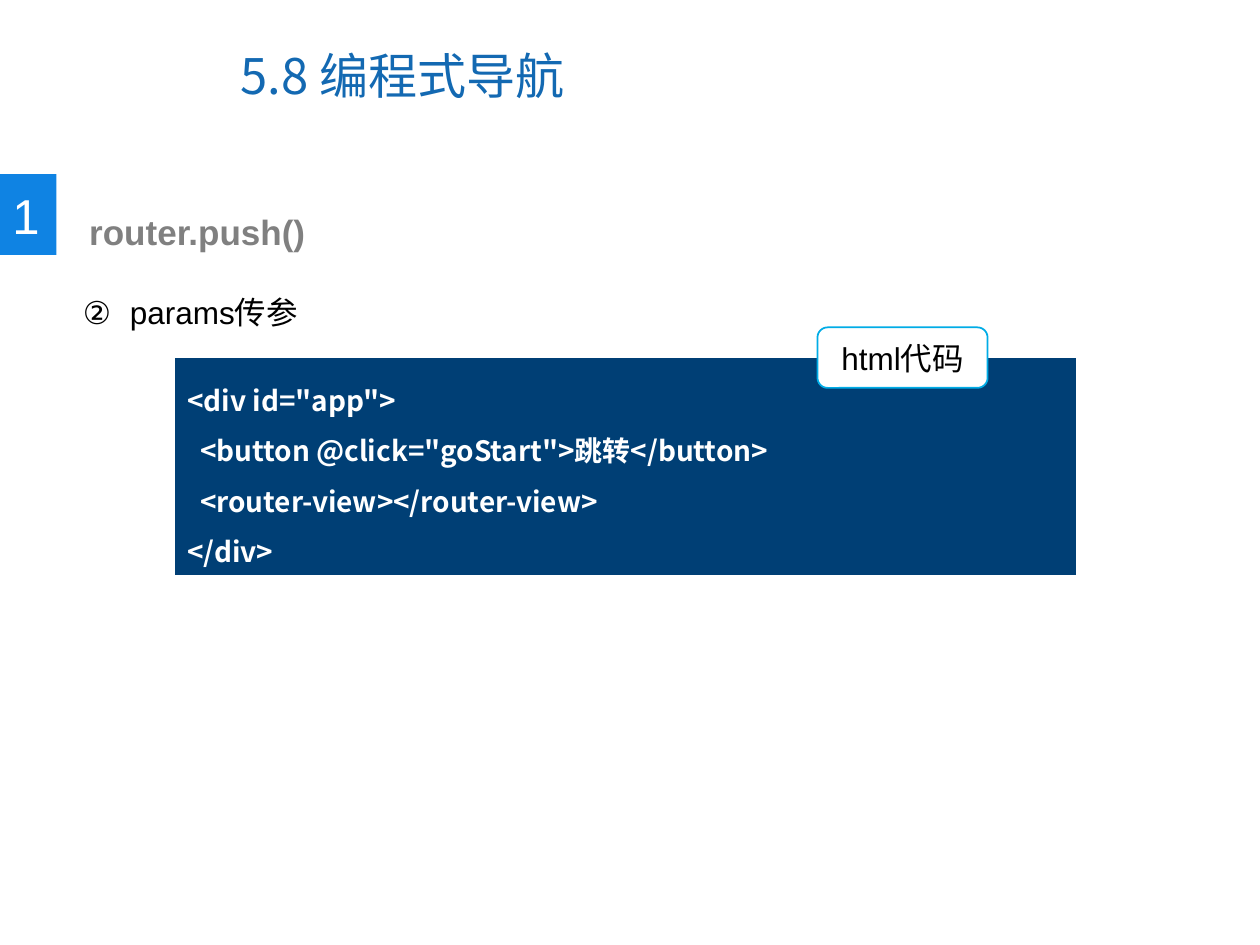
from dataclasses import dataclass
from typing import Optional

from lxml import etree
from pptx import Presentation
from pptx import util as u
from pptx.dml.color import RGBColor
from pptx.enum import shapes, text
from pptx.oxml.ns import qn

LATIN = "Arial"
CJK = "Noto Sans CJK SC"

WHITE = RGBColor(0xFF, 0xFF, 0xFF)
BLACK = RGBColor(0, 0, 0)
GREY = RGBColor(0x80, 0x80, 0x80)
TITLE_BLUE = RGBColor(0x13, 0x69, 0xB2)
BADGE_BLUE = RGBColor(0x0F, 0x83, 0xE3)
CODE_BLUE = RGBColor(0x00, 0x3F, 0x75)
LABEL_BLUE = RGBColor(0x00, 0xAC, 0xE6)

CODE_LINES = (
    '<div id="app">',
    '  <button @click="goStart">跳转</button>',
    "  <router-view></router-view>",
    "</div>",
)


@dataclass(frozen=True)
class Area:
    """Left, top, width and height in centimetres."""
    left: float
    top: float
    width: float
    height: float

    def lengths(self) -> tuple:
        return tuple(u.Cm(v) for v in (self.left, self.top, self.width, self.height))


@dataclass(frozen=True)
class Style:
    size: float
    color: RGBColor
    font: str = LATIN
    bold: bool = False
    align: text.PP_ALIGN = text.PP_ALIGN.LEFT
    spacing: Optional[u.Pt] = None


def write(box, lines: tuple, style: Style,
          anchor: text.MSO_ANCHOR = text.MSO_ANCHOR.TOP, wrap: bool = True) -> None:
    """Fill a box with one paragraph for each line."""
    frame = box.text_frame
    frame.word_wrap = wrap
    frame.auto_size = text.MSO_AUTO_SIZE.NONE
    frame.vertical_anchor = anchor
    for index, line in enumerate(lines):
        para = frame.add_paragraph() if index else frame.paragraphs[0]
        para.alignment = style.align
        if style.spacing is not None:
            para.line_spacing = style.spacing
        span = para.add_run()
        span.text = line
        span.font.name = style.font
        span.font.size = u.Pt(style.size)
        span.font.bold = style.bold
        span.font.color.rgb = style.color
        east_asian = etree.SubElement(span.font._element, qn("a:ea"))
        east_asian.set("typeface", CJK)


def add_panel(page, kind: shapes.MSO_SHAPE, area: Area, fill: RGBColor,
              line: Optional[RGBColor] = None):
    """Draw a filled shape, outlined only when a line colour is given."""
    panel = page.shapes.add_shape(kind, *area.lengths())
    panel.shadow.inherit = False
    panel.fill.solid()
    panel.fill.fore_color.rgb = fill
    if line is None:
        panel.line.fill.background()
    else:
        panel.line.color.rgb = line
        panel.line.width = u.Pt(1)
    return panel


def number_paragraph(para, start: int, indent: u.Cm) -> None:
    """Give a paragraph a circled number and a hanging indent."""
    props = para._p.get_or_add_pPr()
    props.set("marL", str(int(indent)))
    props.set("indent", str(-int(indent)))
    bullet = etree.SubElement(props, qn("a:buAutoNum"))
    bullet.set("type", "circleNumDbPlain")
    bullet.set("startAt", str(start))


def main() -> None:
    deck = Presentation()
    deck.slide_width, deck.slide_height = u.Cm(25.4), u.Cm(19.05)
    page = deck.slides.add_slide(deck.slide_layouts[5])

    # Title
    title = page.shapes.title
    title.left, title.top, title.width, title.height = Area(4.6, 0.43, 13.1, 2.16).lengths()
    write(title, ("5.8 编程式导航",), Style(28, TITLE_BLUE, CJK), text.MSO_ANCHOR.MIDDLE)

    # Section number and heading
    add_panel(page, shapes.MSO_SHAPE.RECTANGLE, Area(0, 3.51, 1.14, 1.63), BADGE_BLUE)
    number = page.shapes.add_textbox(*Area(0, 3.61, 1.07, 1.45).lengths())
    write(number, ("1",), Style(28, WHITE), wrap=False)
    heading = page.shapes.add_textbox(*Area(1.19, 4.11, 13.06, 1.12).lengths())
    heading.text_frame.margin_left = u.Cm(0.61)
    write(heading, ("router.push()",), Style(20, GREY, bold=True))

    # Numbered point
    point = page.shapes.add_textbox(*Area(1.42, 5, 22.4, 1.55).lengths())
    write(point, ("params传参",), Style(18, BLACK, spacing=u.Pt(44)))
    number_paragraph(point.text_frame.paragraphs[0], 2, u.Cm(0.95))

    # Code listing
    code = add_panel(page, shapes.MSO_SHAPE.RECTANGLE, Area(3.53, 7.22, 18.16, 4.37), CODE_BLUE)
    code.text_frame.margin_top = u.Cm(0.18)
    write(code, CODE_LINES, Style(16, WHITE, CJK, bold=True, spacing=u.Pt(28.7)))

    # Label on the listing's upper edge
    label = add_panel(page, shapes.MSO_SHAPE.ROUNDED_RECTANGLE,
                      Area(16.48, 6.6, 3.43, 1.22), WHITE, LABEL_BLUE)
    write(label, ("html代码",), Style(18, BLACK, align=text.PP_ALIGN.CENTER),
          text.MSO_ANCHOR.MIDDLE)

    deck.save("out.pptx")


if __name__ == "__main__":
    main()
